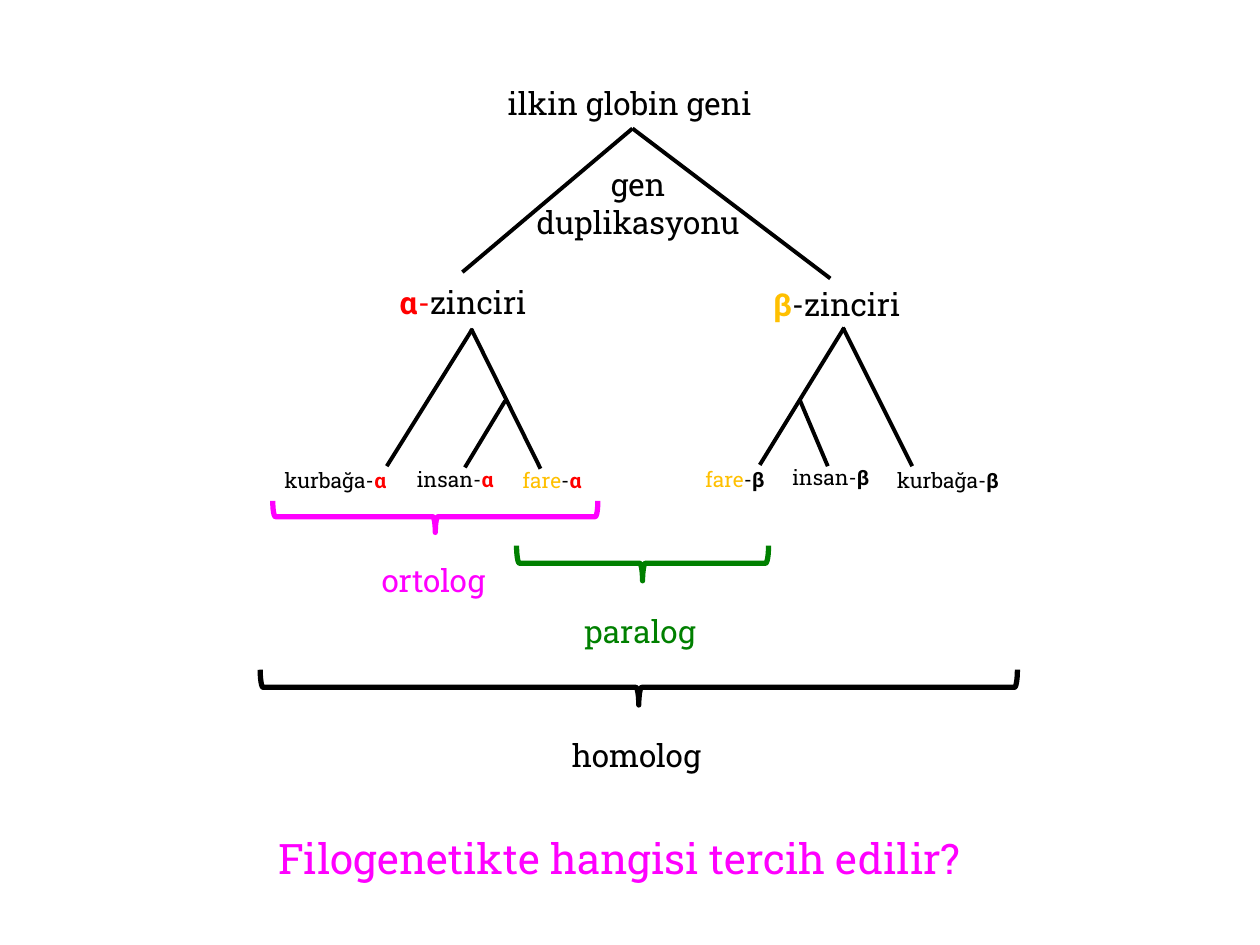
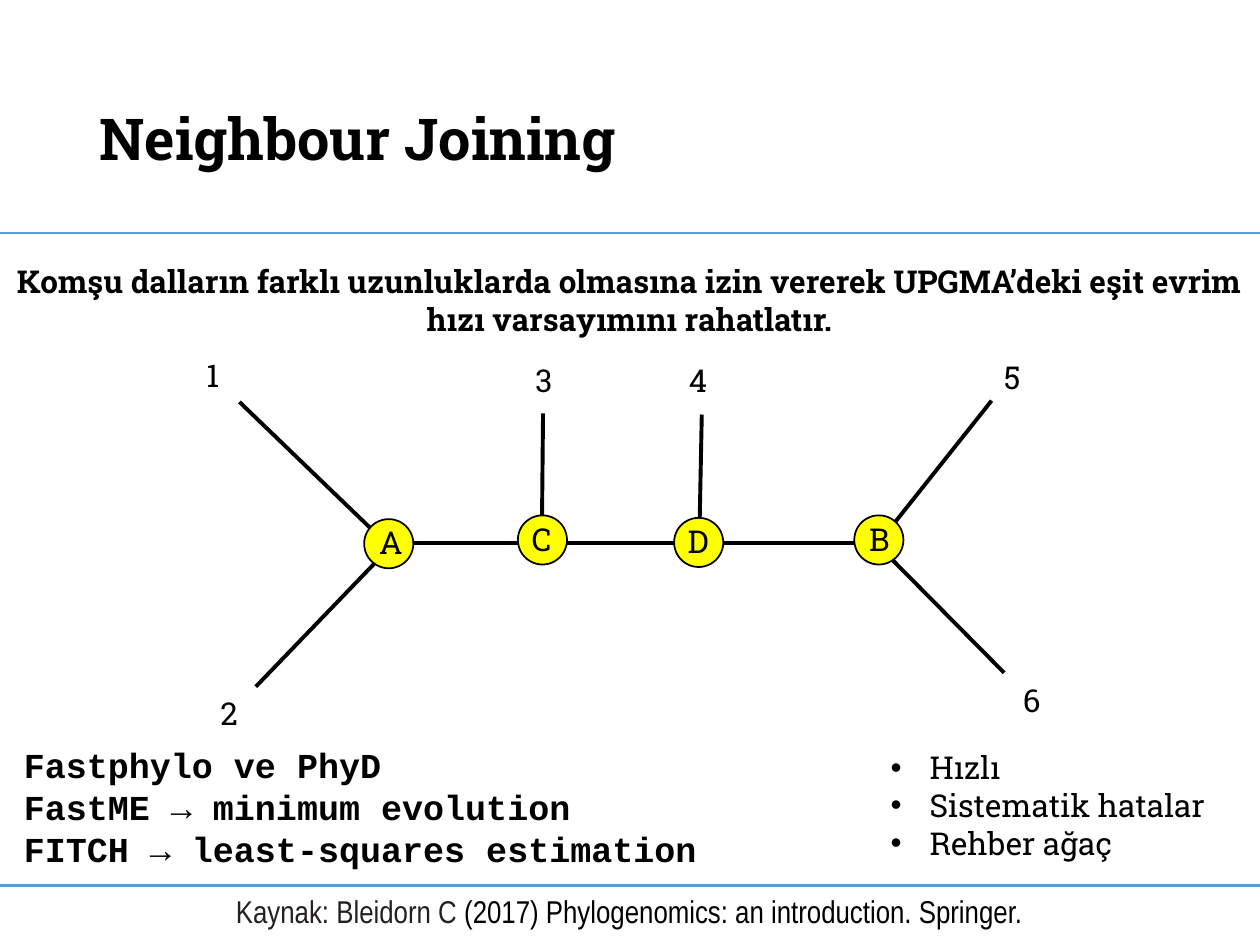
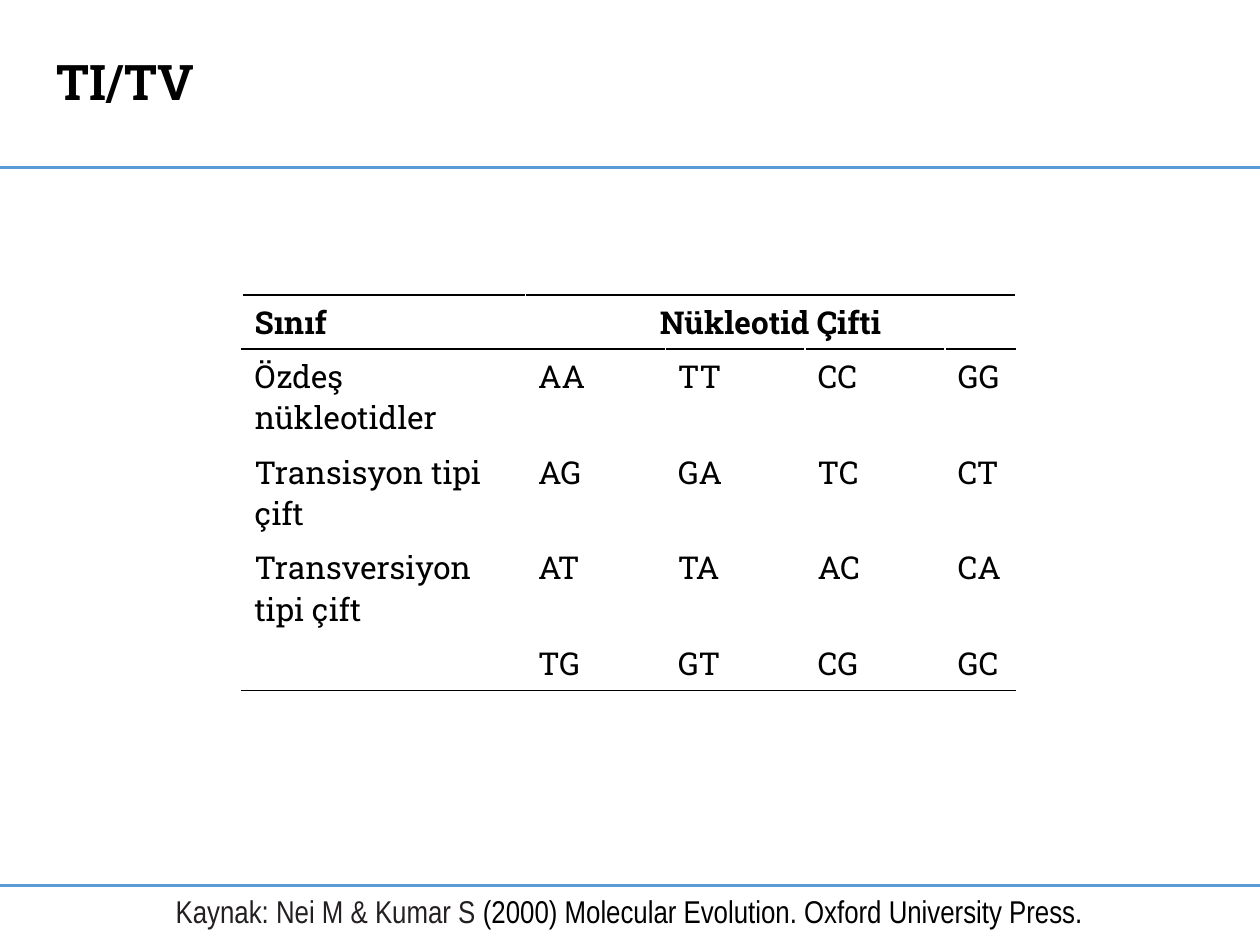
import pptx
import pptx.dml.color
import pptx.enum.shapes
import pptx.enum.text
import pptx.oxml.ns
import pptx.util
from lxml import etree

Inches = pptx.util.Inches
Align = pptx.enum.text.PP_ALIGN
Shape = pptx.enum.shapes.MSO_SHAPE
qn = pptx.oxml.ns.qn

COLORS = {
    "black": "000000", "white": "FFFFFF", "red": "FF0000", "gold": "FFC000",
    "magenta": "FF00FF", "green": "008000", "yellow": "FFFF00",
    "rule": "5B9BD5", "source": "242021",
}
RGB = {name: pptx.dml.color.RGBColor.from_string(value) for name, value in COLORS.items()}
SLAB = "Roboto Slab"


def write(frame, paragraphs, size=18, font=SLAB, align=Align.LEFT, bullet=False):
    """Fill a text frame; each paragraph is a list of (text, colour, bold) runs."""
    for index, runs in enumerate(paragraphs):
        para = frame.paragraphs[0] if index == 0 else frame.add_paragraph()
        para.alignment = align
        if bullet:
            properties = para._p.get_or_add_pPr()
            properties.set("marL", str(Inches(0.31)))
            properties.set("indent", str(-Inches(0.31)))
            etree.SubElement(properties, qn("a:buFont"), typeface="Arial")
            etree.SubElement(properties, qn("a:buChar"), char="•")
        for text, color, bold in runs:
            span = para.add_run()
            span.text = text
            span.font.name = font
            span.font.size = pptx.util.Pt(size)
            span.font.bold = bold
            span.font.color.rgb = RGB[color]


def add_line(page, x1, y1, x2, y2, color="black", width=2.25):
    line = page.shapes.add_connector(
        pptx.enum.shapes.MSO_CONNECTOR.STRAIGHT,
        Inches(x1), Inches(y1), Inches(x2), Inches(y2))
    line.line.color.rgb = RGB[color]
    line.line.width = pptx.util.Pt(width)
    etree.SubElement(line._element.spPr, qn("a:effectLst"))


deck = pptx.Presentation()
deck.slide_width, deck.slide_height = Inches(10), Inches(7.5)
title_only, blank = deck.slide_layouts[5], deck.slide_layouts[6]
globin_page = deck.slides.add_slide(blank)
joining_page = deck.slides.add_slide(title_only)
ratio_page = deck.slides.add_slide(title_only)

# Titles, header rules, footer rules and sources
headings = [
    (joining_page, "Neighbour Joining", 33, (0.69, 0.4, 8.62, 1.45), 1.85, 0.9,
     "Kaynak: Bleidorn C ", "(2017) Phylogenomics: an introduction. Springer."),
    (ratio_page, "TI/TV", 28, (0.35, 0.36, 1.43, 0.57), 1.33, 1.0,
     "Kaynak: Nei M & Kumar S ", "(2000) Molecular Evolution. Oxford University Press."),
]
text_boxes = []  # page, place, paragraphs, options
for page, heading, size, place, rule_top, spacing, authors, work in headings:
    title = page.shapes.title
    title.left, title.top, title.width, title.height = map(Inches, place)
    frame = title.text_frame
    frame.auto_size = pptx.enum.text.MSO_AUTO_SIZE.NONE
    frame.word_wrap = page is joining_page
    frame.vertical_anchor = (pptx.enum.text.MSO_ANCHOR.MIDDLE if page is joining_page
                             else pptx.enum.text.MSO_ANCHOR.TOP)
    write(frame, [[(heading, "black", True)]], size)
    frame.paragraphs[0].line_spacing = spacing
    for top in (rule_top, 7.03):
        add_line(page, 0, top, 10, top, "rule", 1.5)
    text_boxes.append((page, (0, 7.03, 9.99, 0.4),
                       [[(authors, "source", False), (work, "black", False)]],
                       {"font": "Arial Narrow", "align": Align.CENTER}))

# Globin gene tree: branches
for branch in [
    (3.67, 2.16, 5.02, 1.02), (6.59, 2.21, 5.02, 1.02),
    (3.07, 3.7, 3.75, 2.61), (4.29, 3.72, 3.74, 2.61), (3.69, 3.71, 4.01, 3.18),
    (6.03, 3.69, 6.7, 2.6), (7.24, 3.7, 6.69, 2.6), (6.57, 3.7, 6.35, 3.18),
]:
    add_line(globin_page, *branch)

# Globin gene tree: chains, species and the question
for left, width, top, size, runs in [
    (3.93, 2.17, 0.62, 18, [("ilkin globin geni", "black", False)]),
    (3.07, 1.22, 2.2, 18, [("α", "red", True), ("-", "red", False), ("zinciri", "black", False)]),
    (6.04, 1.21, 2.21, 18, [("β", "gold", True), ("-zinciri", "black", False)]),
    (2.16, 1.06, 3.66, 12, [("kurbağa-", "black", False), ("α", "red", True)]),
    (3.21, 0.83, 3.65, 12, [("insan-", "black", False), ("α", "red", True)]),
    (4.05, 0.69, 3.66, 12, [("fare", "gold", False), ("-", "black", False), ("α", "red", True)]),
    (5.5, 0.69, 3.65, 12, [("fare", "gold", False), ("-", "black", False), ("β", "black", True)]),
    (6.19, 0.83, 3.64, 12, [("insan-", "black", False), ("β", "black", True)]),
    (7.02, 1.06, 3.66, 12, [("kurbağa-", "black", False), ("β", "black", True)]),
    (2.11, 5.8, 6.56, 24, [("Filogenetikte hangisi tercih edilir?", "magenta", False)]),
]:
    height = {12: 0.3, 18: 0.4, 24: 0.5}[size]
    text_boxes.append((globin_page, (left, top, width, height), [runs], {"size": size}))
text_boxes.append((globin_page, (4.1, 1.26, 1.93, 0.71),
                   [[("gen", "black", False)], [("duplikasyonu", "black", False)]],
                   {"align": Align.CENTER}))

# Globin gene tree: braces, turned to lie under the species, with their labels
for place, color, label, label_place in [
    ((3.33, 2.81, 0.25, 2.58), "magenta", "ortolog", (2.93, 4.4, 1.05, 0.4)),
    ((4.96, 3.47, 0.28, 2), "green", "paralog", (4.54, 4.81, 1.12, 0.4)),
    ((4.93, 2.45, 0.28, 6.01), "black", "homolog", (4.44, 5.79, 1.24, 0.4)),
]:
    brace = globin_page.shapes.add_shape(Shape.LEFT_BRACE, *map(Inches, place))
    brace.rotation = 270
    brace.shadow.inherit = False
    brace.fill.background()
    brace.line.color.rgb = RGB[color]
    brace.line.width = pptx.util.Pt(3)
    text_boxes.append((globin_page, label_place, [[(label, color, False)]], {}))

# Neighbour joining network: branches
for branch in [
    (5.57, 3.29, 5.55, 4.29), (7.87, 3.18, 6.98, 4.3), (7.97, 5.34, 6.98, 4.34),
    (4.31, 3.28, 4.3, 4.29), (3.08, 4.31, 7.02, 4.31), (1.9, 3.19, 2.98, 4.23),
    (2.03, 5.45, 3.08, 4.36),
]:
    add_line(joining_page, *branch)

# Neighbour joining network: inner nodes and numbered tips
for name, left, top, label_left, label_top in [
    ("A", 2.89, 4.12, 2.91, 4.1), ("C", 4.11, 4.09, 4.12, 4.08),
    ("D", 5.35, 4.11, 5.36, 4.09), ("B", 6.78, 4.09, 6.8, 4.08),
]:
    node = joining_page.shapes.add_shape(
        Shape.OVAL, Inches(left), Inches(top), Inches(0.39), Inches(0.39))
    node.shadow.inherit = False
    node.fill.solid()
    node.fill.fore_color.rgb = RGB["yellow"]
    node.line.color.rgb = RGB["black"]
    node.line.width = pptx.util.Pt(1)
    text_boxes.append((joining_page, (label_left, label_top, 0.38, 0.4),
                       [[(name, "black", False)]], {}))
tips = [(1.54, 2.78), (1.65, 5.46), (4.15, 2.82), (5.37, 2.82), (7.87, 2.79), (8.02, 5.36)]
for number, (left, top) in enumerate(tips, start=1):
    text_boxes.append((joining_page, (left, top, 0.34, 0.4),
                       [[(str(number), "black", False)]], {}))

# Neighbour joining: summary, programs and properties
summary = ("Komşu dalların farklı uzunluklarda olmasına izin vererek "
           "UPGMA’deki eşit evrim hızı varsayımını rahatlatır.")
programs = ["Fastphylo ve PhyD", "FastME → minimum evolution",
            "FITCH → least-squares estimation"]
properties_list = ["Hızlı", "Sistematik hatalar", "Rehber ağaç"]
text_boxes += [
    (joining_page, (0, 2.03, 9.99, 0.71), [[(summary, "black", True)]],
     {"align": Align.CENTER}),
    (joining_page, (0.09, 5.85, 6.08, 1.11), [[(text, "black", True)] for text in programs],
     {"size": 20, "font": "Courier New"}),
    (joining_page, (6.97, 5.89, 2.8, 1.31),
     [[(text, "black", False)] for text in properties_list], {"bullet": True}),
]

# All text boxes; only the wide ones wrap
for page, place, paragraphs, options in text_boxes:
    box = page.shapes.add_textbox(*map(Inches, place))
    box.text_frame.word_wrap = place[2] > 6
    box.text_frame.auto_size = pptx.enum.text.MSO_AUTO_SIZE.SHAPE_TO_FIT_TEXT
    write(box.text_frame, paragraphs, **options)

# Nucleotide pair table
pair_rows = [
    ["Sınıf", "Nükleotid Çifti", "", "", ""],
    ["Özdeş nükleotidler", "AA", "TT", "CC", "GG"],
    ["Transisyon tipi çift", "AG", "GA", "TC", "CT"],
    ["Transversiyon tipi çift", "AT", "TA", "AC", "CA"],
    ["", "TG", "GT", "CG", "GC"],
]
column_widths = [2.25, 1.11, 1.11, 1.11, 0.56]
row_heights = [0.43, 0.76, 0.76, 0.76, 0.43]
table = ratio_page.shapes.add_table(
    5, 5, Inches(1.92), Inches(2.34),
    Inches(sum(column_widths)), Inches(sum(row_heights))).table
for column, width in zip(table.columns, column_widths):
    column.width = Inches(width)
for row, height in zip(table.rows, row_heights):
    row.height = Inches(height)
table.cell(0, 1).merge(table.cell(0, 4))

for row_index, texts in enumerate(pair_rows):
    black_sides = {0: ("lnT", "lnB"), 1: ("lnT",), 4: ("lnB",)}.get(row_index, ())
    for column_index, text in enumerate(texts):
        cell = table.cell(row_index, column_index)
        if text:
            centred = text == "Nükleotid Çifti"
            write(cell.text_frame, [[(text, "black", row_index == 0)]],
                  align=Align.CENTER if centred else Align.LEFT)
        else:
            cell.text_frame.paragraphs[0].font.size = pptx.util.Pt(18)
        cell_properties = cell._tc.get_or_add_tcPr()
        for side in ("lnL", "lnR", "lnT", "lnB"):
            border = etree.SubElement(cell_properties, qn("a:" + side), w="12700")
            fill = etree.SubElement(border, qn("a:solidFill"))
            color = "black" if side in black_sides else "white"
            etree.SubElement(fill, qn("a:srgbClr"), val=COLORS[color])
        cell.fill.background()

deck.save("out.pptx")
